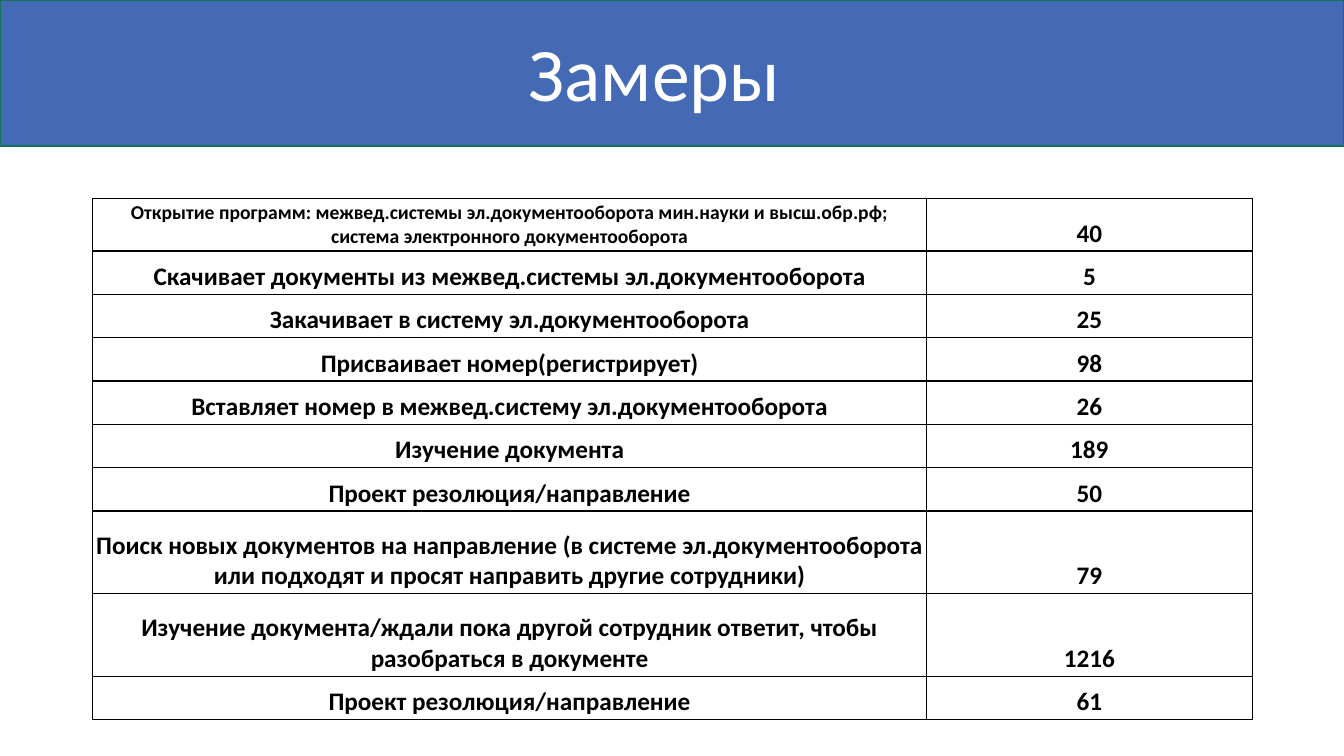
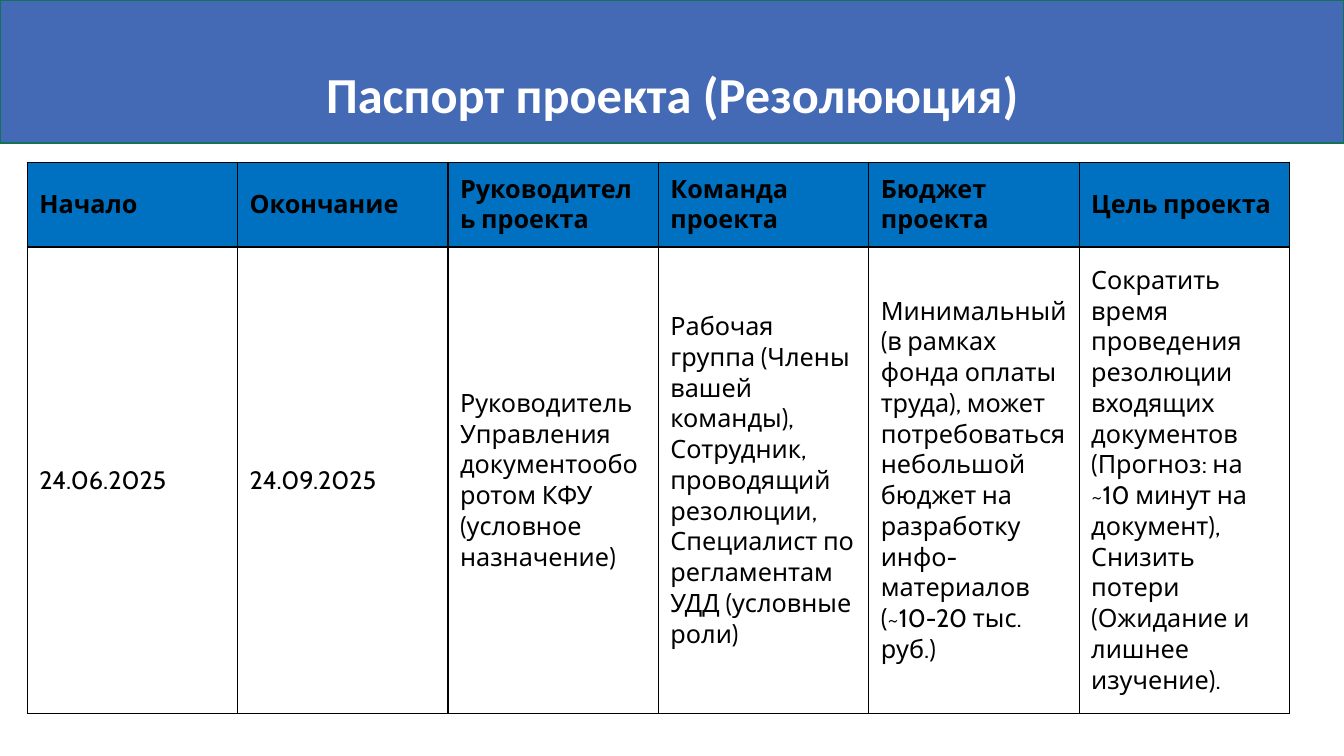
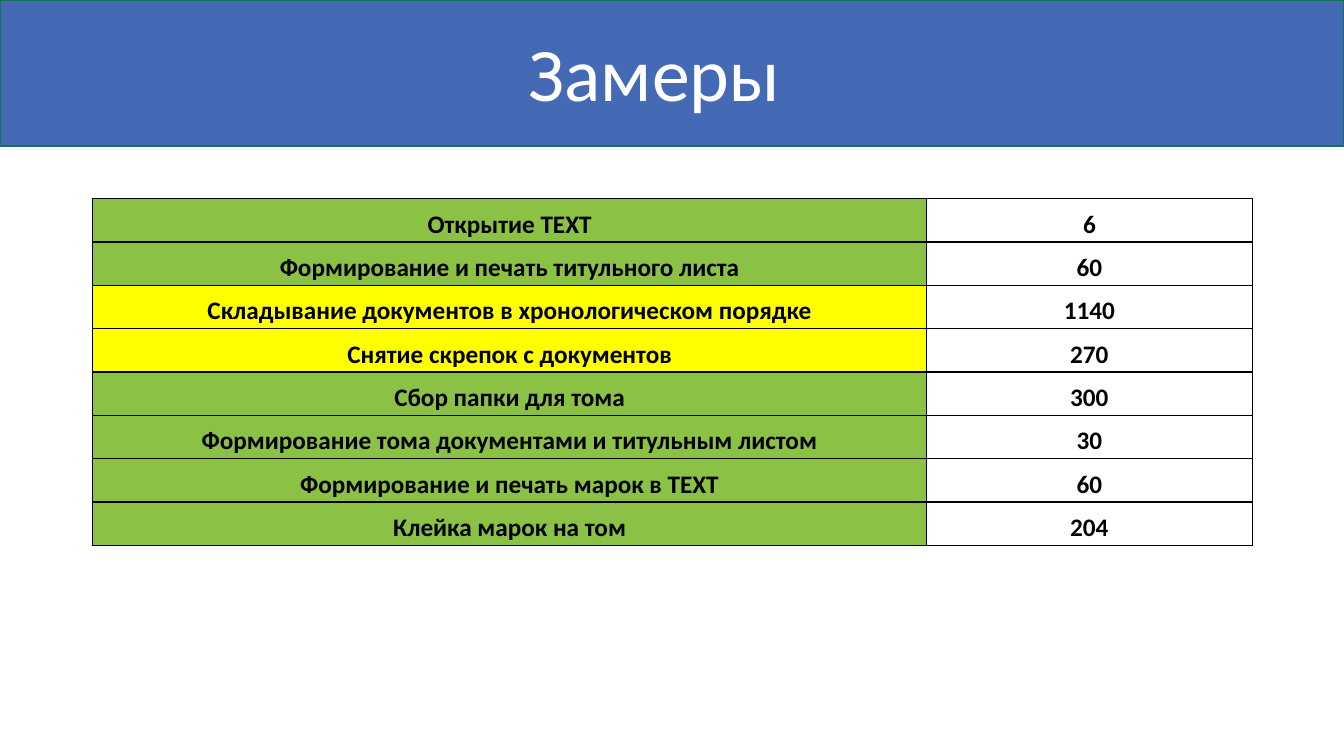
from lxml.etree import SubElement
from pptx import Presentation
from pptx.dml.color import RGBColor
from pptx.enum.shapes import MSO_SHAPE
from pptx.enum.text import MSO_ANCHOR, MSO_AUTO_SIZE, PP_ALIGN
from pptx.oxml.ns import qn
from pptx.util import Inches, Pt

COLORS = {
    "band": "456AB5",
    "band_line": "157259",
    "white": "FFFFFF",
    "black": "000000",
    "header": "0070C0",
    "green": "8BC145",
    "yellow": "FFFF00",
}


def add_page(deck, title, band_height, title_frame, title_size, bold):
    page = deck.slides.add_slide(deck.slide_layouts.get_by_name("Title Only"))
    band = page.shapes.add_shape(MSO_SHAPE.RECTANGLE, 0, 0, deck.slide_width, Inches(band_height))
    band.shadow.inherit = False
    band.fill.solid()
    band.fill.fore_color.rgb = RGBColor.from_string(COLORS["band"])
    band.line.color.rgb = RGBColor.from_string(COLORS["band_line"])
    band.line.width = Pt(1)
    page.shapes._spTree.insert(2, band._element)

    box = page.shapes.title
    box.left, box.top, box.width, box.height = [Inches(length) for length in title_frame]
    frame = box.text_frame
    frame.auto_size = MSO_AUTO_SIZE.NONE
    frame.word_wrap = True
    frame.vertical_anchor = MSO_ANCHOR.BOTTOM
    para = frame.paragraphs[0]
    para.alignment = PP_ALIGN.CENTER
    para.line_spacing = 0.9
    span = para.add_run()
    span.text = title
    span.font.name = "Calibri"
    span.font.size = Pt(title_size)
    span.font.bold = bold
    span.font.color.rgb = RGBColor.from_string(COLORS["white"])
    return page


def fill_cell(cell, text, fill, font, size, bold, align, anchor, inset_x, inset_y):
    cell.margin_left = cell.margin_right = Inches(inset_x)
    cell.margin_top = cell.margin_bottom = Inches(inset_y)
    cell.vertical_anchor = anchor
    para = cell.text_frame.paragraphs[0]
    para.alignment = align
    span = para.add_run()
    span.text = text
    span.font.name = font
    span.font.size = Pt(size)
    span.font.bold = bold
    span.font.color.rgb = RGBColor.from_string(COLORS["black"])
    properties = cell._tc.get_or_add_tcPr()
    for side in ("a:lnL", "a:lnR", "a:lnT", "a:lnB"):
        border = SubElement(properties, qn(side), w=str(Pt(1)))
        solid = SubElement(border, qn("a:solidFill"))
        SubElement(solid, qn("a:srgbClr"), val=COLORS["black"])
    cell.fill.solid()
    cell.fill.fore_color.rgb = RGBColor.from_string(COLORS[fill])


deck = Presentation()
deck.slide_width = Inches(13.33)
deck.slide_height = Inches(7.5)

registration_steps = [
    ("Открытие программ: межвед.системы эл.документооборота мин.науки и высш.обр.рф; "
     "система электронного документооборота", "40", "white", 14, 0.52),
    ("Скачивает документы из межвед.системы эл.документооборота", "5", "white", 18, 0.43),
    ("Закачивает в систему эл.документооборота", "25", "white", 18, 0.43),
    ("Присваивает номер(регистрирует)", "98", "white", 18, 0.43),
    ("Вставляет номер в межвед.систему эл.документооборота", "26", "white", 18, 0.43),
    ("Изучение документа", "189", "white", 18, 0.43),
    ("Проект резолюция/направление", "50", "white", 18, 0.43),
    ("Поиск новых документов на направление (в системе эл.документооборота "
     "или подходят и просят направить другие сотрудники)", "79", "white", 18, 0.82),
    ("Изучение документа/ждали пока другой сотрудник ответит, чтобы "
     "разобраться в документе", "1216", "white", 18, 0.82),
    ("Проект резолюция/направление", "61", "white", 18, 0.43),
]
archive_steps = [
    (step, seconds, fill, 18, 0.43)
    for step, seconds, fill in [
        ("Открытие TEXT", "6", "green"),
        ("Формирование и печать титульного листа", "60", "green"),
        ("Складывание документов в хронологическом порядке", "1140", "yellow"),
        ("Снятие скрепок с документов", "270", "yellow"),
        ("Сбор папки для тома", "300", "green"),
        ("Формирование тома документами и титульным листом", "30", "green"),
        ("Формирование и печать марок в TEXT", "60", "green"),
        ("Клейка марок на том", "204", "green"),
    ]
]
passport = [
    ("Начало", "24.06.2025"),
    ("Окончание", "24.09.2025"),
    ("Руководитель проекта",
     "Руководитель Управления документооборотом КФУ (условное назначение)"),
    ("Команда проекта",
     "Рабочая группа (Члены вашей команды), Сотрудник, проводящий резолюции, "
     "Специалист по регламентам УДД (условные роли)"),
    ("Бюджет проекта",
     "Минимальный (в рамках фонда оплаты труда), может потребоваться небольшой бюджет "
     "на разработку инфо-материалов (~10-20 тыс. руб.)"),
    ("Цель проекта",
     "Сократить время проведения резолюции входящих документов (Прогноз: на ~10 минут "
     "на документ), Снизить потери (Ожидание и лишнее изучение)."),
]

for steps in (registration_steps, None, archive_steps):
    if steps:
        page = add_page(deck, "Замеры", 1.45, (1.49, 0.24, 10, 0.98), 54, False)
        table = page.shapes.add_table(
            len(steps), 2, Inches(0.92), Inches(1.97), Inches(11.5),
            Inches(sum(step[-1] for step in steps))).table
        table.columns[0].width = Inches(8.27)
        table.columns[1].width = Inches(3.23)
        for index, (step, seconds, fill, size, height) in enumerate(steps):
            table.rows[index].height = Inches(height)
            for column, text, color, points in ((0, step, fill, size), (1, seconds, "white", 18)):
                fill_cell(table.cell(index, column), text, color, "Calibri", points, True,
                          PP_ALIGN.CENTER, MSO_ANCHOR.BOTTOM, 0.03, 0.02)
    else:
        page = add_page(deck, "Паспорт проекта (Резолююция)", 1.42, (1.67, 0.32, 10, 0.96), 36, True)
        table = page.shapes.add_table(
            2, len(passport), Inches(0.27), Inches(1.61), Inches(12.52), Inches(5.47)).table
        table.rows[0].height = Inches(0.84)
        table.rows[1].height = Inches(4.63)
        for column, texts in enumerate(passport):
            for index, text in enumerate(texts):
                fill_cell(table.cell(index, column), text, ("header", "white")[index], "Cabin", 18,
                          index == 0, PP_ALIGN.LEFT, MSO_ANCHOR.MIDDLE, 0.12, 0.06)

deck.save("out.pptx")
